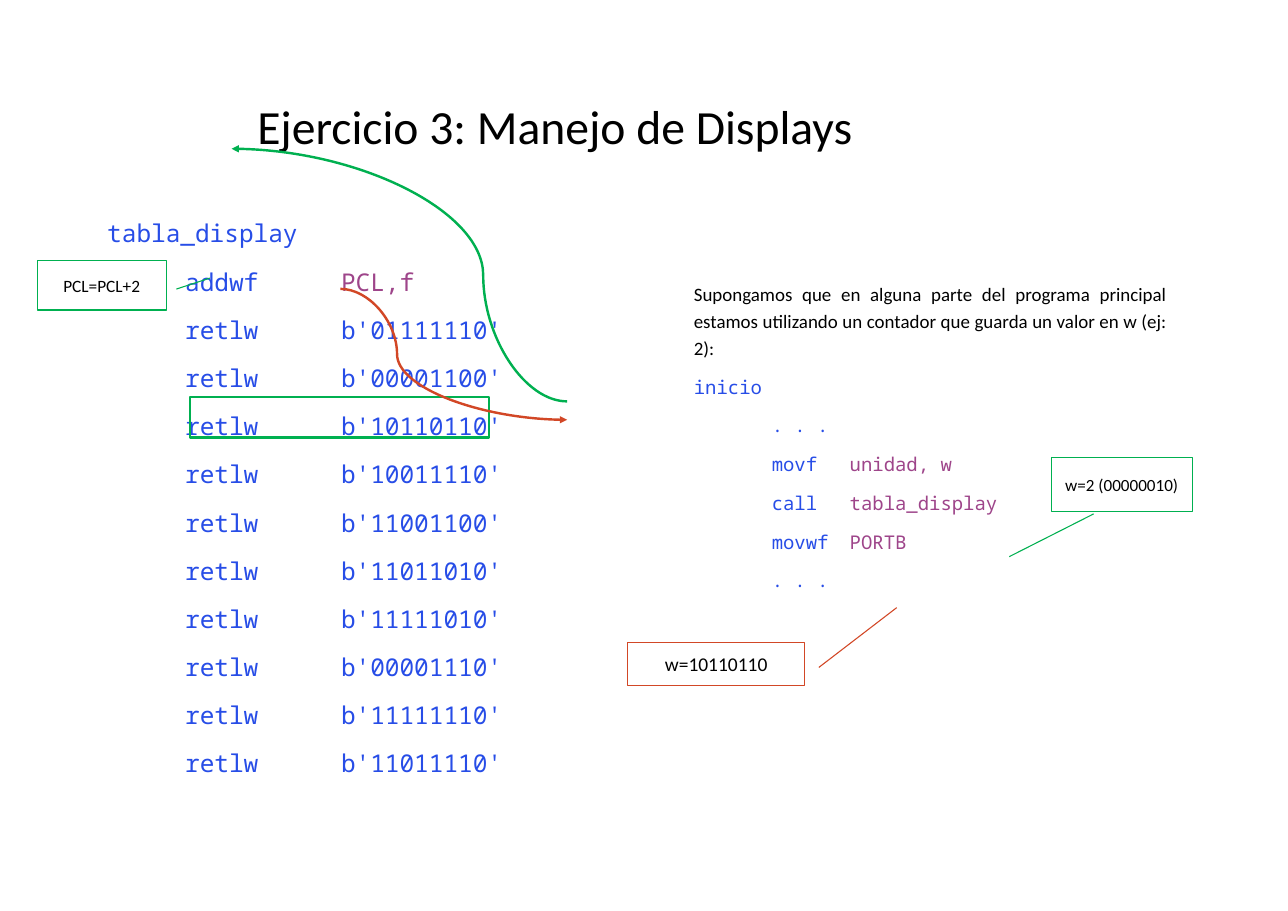
from collections import namedtuple
from dataclasses import dataclass

from lxml import etree
from pptx import Presentation
from pptx.dml.color import RGBColor
from pptx.enum.shapes import MSO_CONNECTOR, MSO_SHAPE
from pptx.enum.text import MSO_ANCHOR, PP_ALIGN
from pptx.oxml.ns import qn
from pptx.util import Pt

CURVE = MSO_CONNECTOR.CURVE
CALLOUT, RECTANGLE = MSO_SHAPE.LINE_CALLOUT_1, MSO_SHAPE.RECTANGLE
MIDDLE = MSO_ANCHOR.MIDDLE
CENTER, JUSTIFY, LEFT = PP_ALIGN.CENTER, PP_ALIGN.JUSTIFY, PP_ALIGN.LEFT

Box = namedtuple("Box", "left top width height")


@dataclass(frozen=True)
class Theme:
    prose: str = "Calibri"
    mono: str = "Noto Sans Mono"
    black: RGBColor = RGBColor(0x00, 0x00, 0x00)
    white: RGBColor = RGBColor(0xFF, 0xFF, 0xFF)
    opcode: RGBColor = RGBColor(0x27, 0x4D, 0xE7)
    operand: RGBColor = RGBColor(0x9E, 0x45, 0x8A)
    call: RGBColor = RGBColor(0x00, 0xB0, 0x50)
    result: RGBColor = RGBColor(0xD2, 0x47, 0x26)
    title_size: float = 44
    table_size: float = 22.6
    program_size: float = 17.5
    w_before_size: float = 15.8
    counter_size: float = 16
    w_after_size: float = 18
    line_spacing: float = 1.2
    thin: float = 1
    thick: float = 2.25


THEME = Theme()
SEGMENTS = ["01111110", "00001100", "10110110", "10011110", "11001100",
            "11011010", "11111010", "00001110", "11111110", "11011110"]
# Each line of code: text in the opcode colour, text in the operand colour
TABLE_CODE = [("tabla_display", ""), ("\taddwf\t", "PCL,f")]
TABLE_CODE += [(f"\tretlw\tb'{bits}'", "") for bits in SEGMENTS]
PROGRAM_CODE = [("inicio", ""), ("\t. . .", ""), ("\tmovf\t", "unidad, w"),
                ("\tcall\t", "tabla_display"), ("\tmovwf\t", "PORTB"), ("\t. . .", "")]
PROGRAM_INTRO = ("Supongamos que en alguna parte del programa principal estamos "
                 "utilizando un contador que guarda un valor en w (ej: 2):")


def points(lengths):
    return [Pt(length) for length in lengths]


def set_font(paragraph, name, size, color):
    paragraph.font.name = name
    paragraph.font.size = Pt(size)
    paragraph.font.color.rgb = color


def add_title(slide, box, text):
    title = slide.shapes.title
    title.left, title.top, title.width, title.height = points(box)
    title.text_frame.text = text
    title.text_frame.vertical_anchor = MIDDLE
    heading = title.text_frame.paragraphs[0]
    heading.alignment = CENTER
    set_font(heading, THEME.prose, THEME.title_size, THEME.black)


def add_listing(slide, box, code, size, stops, gap, intro=None):
    """Code lines aligned on tab stops, below an optional justified introduction."""
    frame = slide.shapes.add_textbox(*points(box)).text_frame
    frame.word_wrap = True
    lines = ([(intro, "")] if intro else []) + code
    for index, (opcode, operand) in enumerate(lines):
        is_intro = bool(intro) and index == 0
        line = frame.paragraphs[0] if index == 0 else frame.add_paragraph()
        line.alignment = JUSTIFY if is_intro else LEFT
        line.line_spacing = THEME.line_spacing
        line.space_after = Pt(gap)
        if index:
            line.space_before = Pt(gap)
        tabs = etree.SubElement(line._p.get_or_add_pPr(), qn("a:tabLst"))
        for stop in stops:
            etree.SubElement(tabs, qn("a:tab"), pos=str(Pt(stop)), algn="l")
        if is_intro:
            set_font(line, THEME.prose, size, THEME.black)
        else:
            set_font(line, THEME.mono, size, THEME.opcode)
        line.add_run().text = opcode
        if operand:
            run = line.add_run()
            run.text = operand
            run.font.color.rgb = THEME.operand


def add_callout(slide, box, text, size, color, pointer):
    """Bordered note; pointer holds y, x of both line ends as shares of the box."""
    note = slide.shapes.add_shape(CALLOUT, *points(box))
    for index, share in enumerate(pointer):
        note.adjustments[index] = share
    note.shadow.inherit = False
    note.fill.solid()
    note.fill.fore_color.rgb = THEME.white
    note.line.color.rgb = color
    note.line.width = Pt(THEME.thin)
    frame = note.text_frame
    frame.word_wrap = True
    frame.vertical_anchor = MIDDLE
    frame.text = text
    frame.paragraphs[0].alignment = CENTER
    set_font(frame.paragraphs[0], THEME.prose, size, THEME.black)


def add_highlight(slide, box, color):
    outline = slide.shapes.add_shape(RECTANGLE, *points(box))
    outline.shadow.inherit = False
    outline.fill.background()
    outline.line.color.rgb = color
    outline.line.width = Pt(THEME.thick)


def add_jump(slide, start, end, color):
    """Curved arrow that turns a quarter of the way along."""
    jump = slide.shapes.add_connector(CURVE, *points(start + end))
    jump.line.color.rgb = color
    jump.line.width = Pt(THEME.thick)
    properties = jump._element.spPr
    guides = properties.find(qn("a:prstGeom")).get_or_add_avLst()
    etree.SubElement(guides, qn("a:gd"), name="adj1", fmla="val 25000")
    etree.SubElement(properties.find(qn("a:ln")), qn("a:tailEnd"), type="triangle")
    etree.SubElement(properties, qn("a:effectLst"))


def add_program(slide, box):
    """Main program, with the value of w before and after the call."""
    add_listing(slide, box, PROGRAM_CODE, THEME.program_size, stops=(72, 144),
                gap=5.3, intro=PROGRAM_INTRO)
    add_callout(slide, Box(box.left + 337.5, box.top + 170, 130, 50),
                "w=2 (00000010)", THEME.w_before_size, THEME.call, (1.04, 0.3, 1.83, -0.3))
    add_callout(slide, Box(box.left - 54, box.top + 341, 163.5, 39.5),
                "w=10110110", THEME.w_after_size, THEME.result, (0.58, 1.08, -0.82, 1.52))


def add_lookup_table(slide, box):
    """Display table, with the entry that the jump selects."""
    add_listing(slide, box, TABLE_CODE, THEME.table_size, stops=(72, 216), gap=6)
    add_callout(slide, Box(box.left - 57.5, box.top + 47.5, 119, 46),
                "PCL=PCL+2", THEME.counter_size, THEME.call, (0.58, 1.08, 0.36, 1.34))
    add_highlight(slide, Box(box.left + 83.5, box.top + 174, 276.5, 37.5), THEME.call)


def add_display_slide(deck):
    slide = deck.slides.add_slide(deck.slide_layouts[5])
    add_title(slide, Box(77, 57, 872, 118), "Ejercicio 3: Manejo de Displays")
    add_program(slide, Box(634, 253, 451.5, 464))
    add_lookup_table(slide, Box(92, 193, 513, 524))
    add_jump(slide, (524, 371), (214, 137.5), THEME.call)
    add_jump(slide, (314.5, 267), (524, 388), THEME.result)


def main():
    deck = Presentation()
    deck.slide_width, deck.slide_height = points((1190, 842))
    add_display_slide(deck)
    deck.save("out.pptx")


if __name__ == "__main__":
    main()
